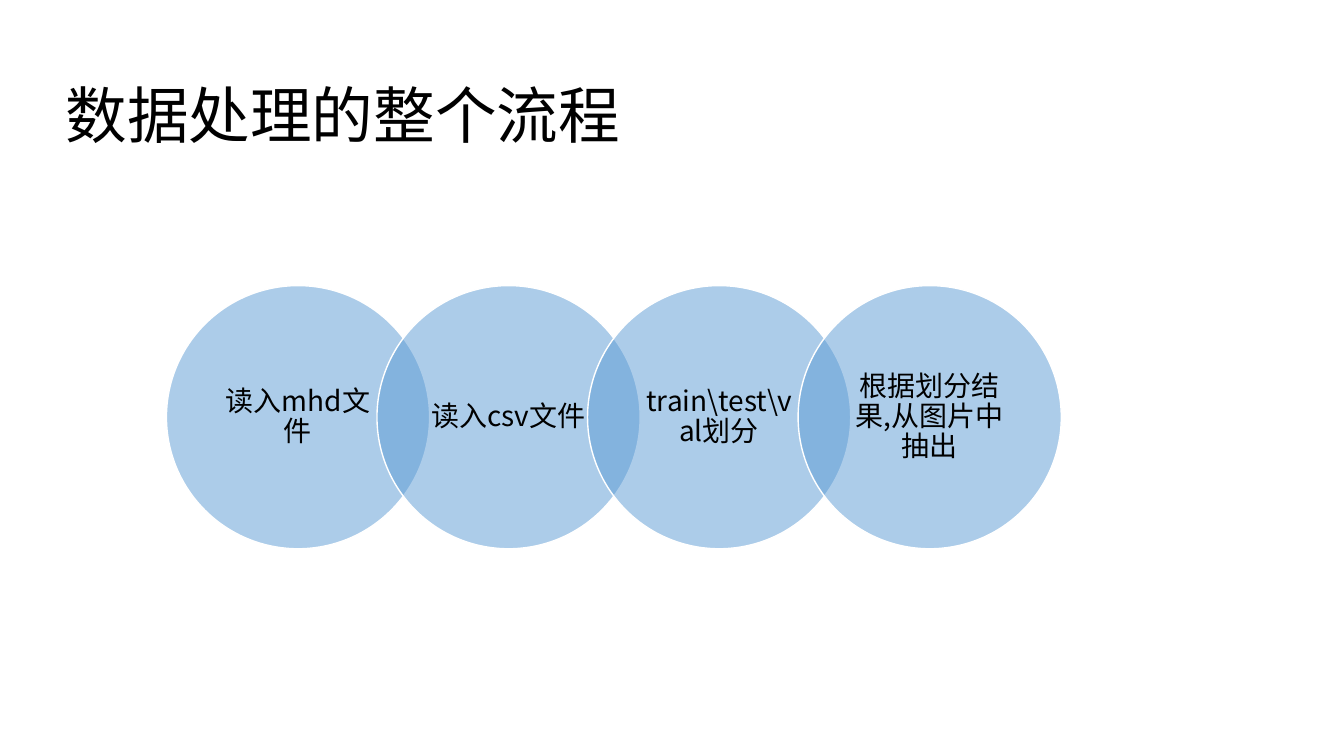
import pptx
import pptx.util
import pptx.dml.color
import pptx.enum.shapes
import pptx.enum.text
import pptx.oxml
import pptx.oxml.ns
from lxml import etree

Pt = pptx.util.Pt
qn = pptx.oxml.ns.qn

TITLE = "数据处理的整个流程"
STEPS = ["读入mhd文件", "读入csv文件", "train\\test\\val划分", "根据划分结果,从图片中抽出".replace(",", ",")]
COLORS = {"circle": "5B9BD5", "outline": "FFFFFF", "text": "000000"}
FONT = "Noto Sans CJK SC"
LEFT, TOP, DIAMETER = 118.9, 204, 188
PITCH = DIAMETER * 0.8


def color(name):
    return pptx.dml.color.RGBColor.from_string(COLORS[name])


def write(shape, text, size, alignment):
    frame = shape.text_frame
    frame.word_wrap = True
    frame.auto_size = pptx.enum.text.MSO_AUTO_SIZE.NONE
    frame.vertical_anchor = pptx.enum.text.MSO_ANCHOR.MIDDLE
    para = frame.paragraphs[0]
    para.text = text
    para.alignment = alignment
    para.line_spacing = 0.9
    para.font.size = Pt(size)
    para.font.name = FONT
    para.font.color.rgb = color("text")
    latin = next(para._p.iter(qn("a:latin")))
    east_asian = etree.Element(qn("a:ea"), typeface=FONT)
    latin.addnext(east_asian)


def add_step(page, index, text):
    circle = page.shapes.add_shape(
        pptx.enum.shapes.MSO_SHAPE.OVAL,
        Pt(LEFT + index * PITCH), Pt(TOP), Pt(DIAMETER), Pt(DIAMETER))
    circle.shadow.inherit = False
    circle.fill.solid()
    circle.fill.fore_color.rgb = color("circle")
    fill = circle._element.spPr.find(qn("a:solidFill"))
    etree.SubElement(fill[0], qn("a:alpha"), val="50000")
    circle.line.color.rgb = color("outline")
    circle.line.width = Pt(1)
    frame = circle.text_frame
    frame.margin_left = frame.margin_right = Pt(10)
    frame.margin_top = frame.margin_bottom = Pt(2)
    write(circle, text, 20, pptx.enum.text.PP_ALIGN.CENTER)


deck = pptx.Presentation()
deck.slide_width, deck.slide_height = Pt(960), Pt(540)
page = deck.slides.add_slide(deck.slide_layouts[5])

title = page.shapes.title
title.left, title.top, title.width, title.height = Pt(39.6), Pt(32.4), Pt(828), Pt(104.4)
write(title, TITLE, 44, pptx.enum.text.PP_ALIGN.LEFT)

for index, step in enumerate(STEPS):
    add_step(page, index, step)

deck.save("out.pptx")
